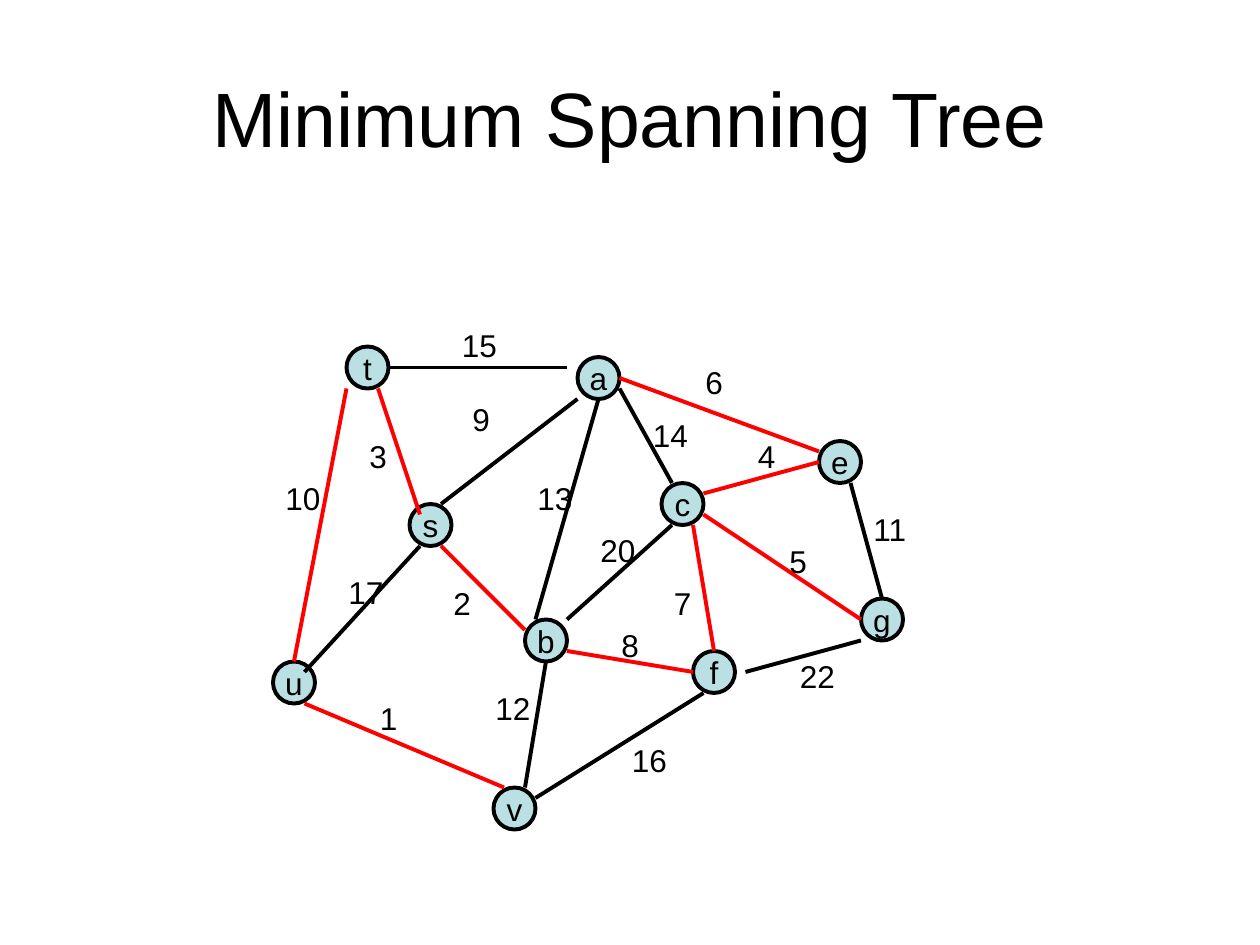
from dataclasses import dataclass

from lxml import etree
from pptx import Presentation
from pptx.dml.color import RGBColor
from pptx.enum.shapes import MSO_CONNECTOR, MSO_SHAPE
from pptx.enum.text import MSO_ANCHOR, MSO_AUTO_SIZE, PP_ALIGN
from pptx.oxml.ns import qn
from pptx.util import Inches, Pt

OVAL = MSO_SHAPE.OVAL
LINE = MSO_CONNECTOR.STRAIGHT
MIDDLE = MSO_ANCHOR.MIDDLE
GROW = MSO_AUTO_SIZE.SHAPE_TO_FIT_TEXT
LEFT, CENTER = PP_ALIGN.LEFT, PP_ALIGN.CENTER
COLS, ROWS = 120, 90


@dataclass(frozen=True)
class Theme:
    """Colours, font and sizes of the slide."""
    ink: RGBColor = RGBColor(0, 0, 0)
    tree: RGBColor = RGBColor(255, 0, 0)
    node: RGBColor = RGBColor(0xBB, 0xE0, 0xE3)
    font: str = "Arial"
    head: int = 44
    body: int = 18
    rule: float = 2.25


NODES = {
    "a": (55, 34), "b": (50, 59), "c": (63, 46), "s": (39, 48), "e": (78, 42),
    "g": (82, 57), "f": (66, 62), "t": (33, 33), "u": (26, 63), "v": (47, 75),
}

EDGES = [
    (9, (42, 48), (55, 38), (43.8, 37.5)),
    (6, (59, 36), (78, 43), (66, 34)),
    (14, (59, 37), (64, 46), (61, 39)),
    (20, (64, 50), (54, 59), (56, 50)),
    (2, (42, 52), (50, 60), (42, 55)),
    (13, (57, 38), (51, 59), (50, 45)),
    (8, (54, 62), (66, 64), (58, 59)),
    (7, (66, 50), (68, 62), (63, 55)),
    (4, (67, 47), (78, 44), (71, 41)),
    (11, (81, 46), (84, 57), (82, 48)),
    (5, (67, 49), (82, 59), (74, 51)),
    (22, (71, 64), (82, 61), (75, 62)),
    (15, (37, 35), (54, 35), (42.8, 30.5)),
    (3, (36, 37), (40, 49), (34, 41)),
    (10, (33, 37), (28, 63), (26, 45)),
    (17, (29, 64), (40, 52), (32, 54)),
    (1, (29, 67), (48, 75), (35, 66)),
    (12, (50, 75), (52, 63), (46, 65)),
    (16, (51, 76), (67, 66), (59, 70)),
]

TREE = {1, 2, 3, 4, 5, 6, 7, 8, 10}


class Board:
    """Draws a weighted graph on a grid of columns and rows."""

    def __init__(self, deck, theme):
        """Open a title-only slide."""
        self.theme = theme
        self.slide = deck.slides.add_slide(deck.slide_layouts[5])
        self.shapes = self.slide.shapes
        self.col = deck.slide_width / COLS
        self.row = deck.slide_height / ROWS

    def span(self, x, y):
        """Turn columns and rows into lengths."""
        return round(x * self.col), round(y * self.row)

    def fill_text(self, frame, text, size, align):
        """Set and format one line of text."""
        frame.text = text
        para = frame.paragraphs[0]
        para.alignment = align
        font = para.runs[0].font
        font.name, font.size = self.theme.font, Pt(size)
        font.color.rgb = self.theme.ink

    def title(self, text):
        """Place the slide title."""
        box = self.shapes.title
        box.left, box.top = self.span(6, 3.6)
        box.width, box.height = self.span(108, 15)
        box.text_frame.vertical_anchor = MIDDLE
        self.fill_text(box.text_frame, text, self.theme.head, CENTER)

    def node(self, name, spot):
        """Draw a named vertex."""
        dot = self.shapes.add_shape(OVAL, *self.span(*spot), *self.span(4, 4))
        dot.shadow.inherit = False
        dot.fill.solid()
        dot.fill.fore_color.rgb = self.theme.node
        dot.line.color.rgb = self.theme.ink
        dot.line.width = Pt(self.theme.rule)
        frame = dot.text_frame
        frame.word_wrap = False
        frame.vertical_anchor = MIDDLE
        self.fill_text(frame, name, self.theme.body, CENTER)

    def edge(self, start, end, color):
        """Draw a line between two grid points."""
        link = self.shapes.add_connector(LINE, *self.span(*start), *self.span(*end))
        link.line.color.rgb = color
        link.line.width = Pt(self.theme.rule)
        etree.SubElement(link._element.spPr, qn("a:effectLst"))

    def label(self, text, spot):
        """Place the weight of an edge."""
        wide = 2.4 + 1.68 * len(text)
        box = self.shapes.add_textbox(*self.span(*spot), *self.span(wide, 4.8))
        frame = box.text_frame
        frame.word_wrap = False
        frame.auto_size = GROW
        self.fill_text(frame, text, self.theme.body, LEFT)


def main():
    """Build and save the slide."""
    deck = Presentation()
    deck.slide_width, deck.slide_height = Inches(10), Inches(7.5)
    theme = Theme()
    board = Board(deck, theme)
    board.title("Minimum Spanning Tree")
    for name, spot in NODES.items():
        board.node(name, spot)
    for weight, start, end, spot in EDGES:
        board.edge(start, end, theme.tree if weight in TREE else theme.ink)
        board.label(str(weight), spot)
    deck.save("out.pptx")


if __name__ == "__main__":
    main()
